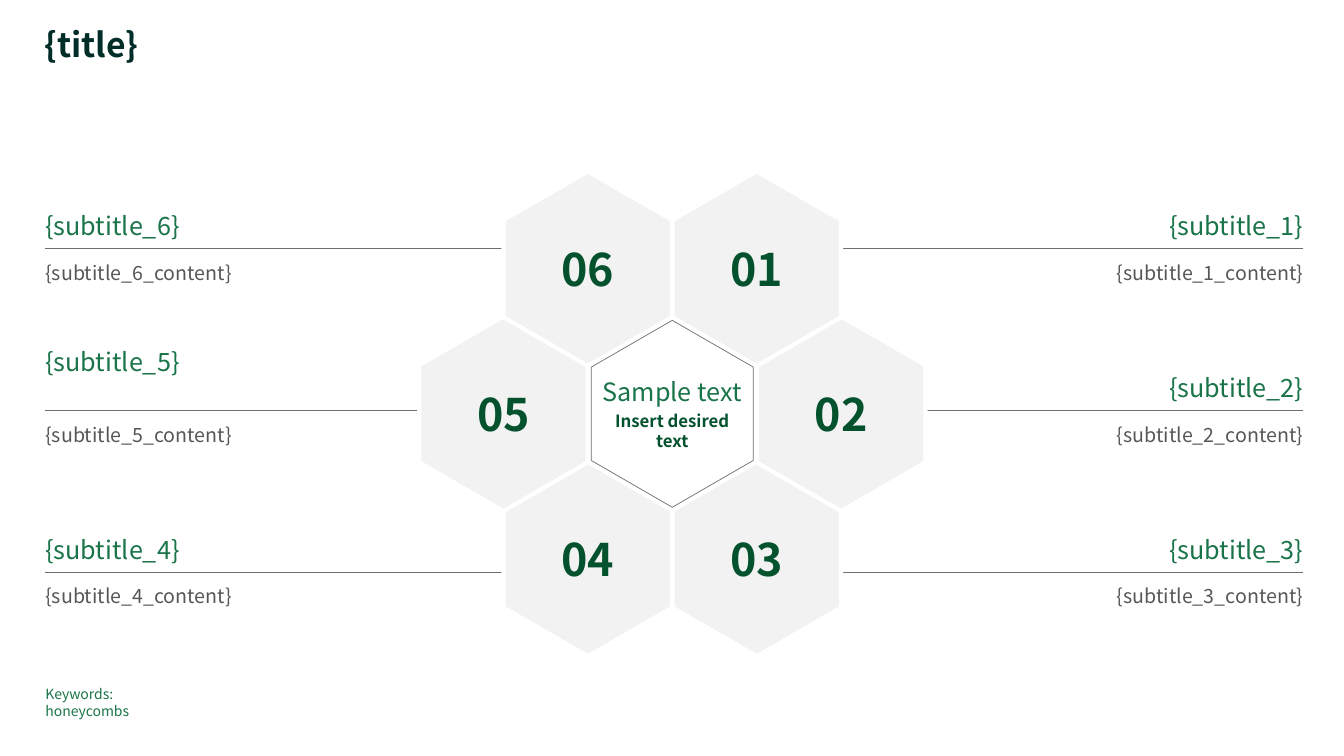
from dataclasses import dataclass
from math import sqrt

from lxml.etree import SubElement
from pptx import Presentation
from pptx.dml.color import RGBColor as Rgb
from pptx.enum.shapes import MSO_CONNECTOR as Connector
from pptx.enum.text import MSO_ANCHOR as Anchor, MSO_AUTO_SIZE as AutoSize, PP_ALIGN as Align
from pptx.oxml.ns import qn
from pptx.util import Pt


@dataclass(frozen=True)
class Theme:
    font: str = "Noto Sans CJK JP"
    title_color: Rgb = Rgb(0x00, 0x2D, 0x28)
    green: Rgb = Rgb(0x1A, 0x74, 0x49)
    dark_green: Rgb = Rgb(0x03, 0x52, 0x2D)
    body: Rgb = Rgb(0x57, 0x57, 0x57)
    rule: Rgb = Rgb(0x6E, 0x6F, 0x73)
    cell: Rgb = Rgb(0xF2, 0xF2, 0xF2)
    white: Rgb = Rgb(0xFF, 0xFF, 0xFF)
    title_size: int = 24
    number_size: int = 32
    subtitle_size: int = 18
    content_size: int = 14
    label_size: int = 12
    keyword_size: int = 10


THEME = Theme()

# Page and honeycomb geometry, in points
LEFT, RIGHT = 32.4, 931
CENTER_X, CENTER_Y = 480.2, 295.6
RADIUS, CORE_RADIUS = 69.5, 66.75
COLUMN_STEP, ROW_STEP = 60.3, 103.7
FIRST_RULE_Y, RULE_STEP = 177.7, 115.5
RULE_INSET = 60
ENTRY_WIDTH, SUBTITLE_HEIGHT, CONTENT_HEIGHT = 247, 27.4, 31

# Cell number: (column, row) in half-cell and row steps from the centre
CELLS = {3: (1, 1), 4: (-1, 1), 2: (2, 0), 5: (-2, 0), 1: (1, -1), 6: (-1, -1)}


def add_run(paragraph, text, size, color, bold=False):
    run = paragraph.add_run()
    run.text = text
    run.font.name = THEME.font
    run.font.size = Pt(size)
    run.font.color.rgb = color
    run.font.bold = bold


def set_frame(frame, anchor=Anchor.TOP, top=0, bottom=0, wrap=True):
    frame.margin_left = frame.margin_right = 0
    frame.margin_top, frame.margin_bottom = Pt(top), Pt(bottom)
    frame.vertical_anchor = anchor
    frame.word_wrap = wrap
    frame.auto_size = AutoSize.SHAPE_TO_FIT_TEXT


def add_text_box(slide, x, y, width, height, align=Align.LEFT, **frame_options):
    frame = slide.shapes.add_textbox(Pt(x), Pt(y), Pt(width), Pt(height)).text_frame
    set_frame(frame, **frame_options)
    frame.paragraphs[0].alignment = align
    return frame


def add_title(slide, text):
    title = slide.shapes.title
    title.left, title.top, title.width, title.height = Pt(31.7), Pt(20.2), Pt(794), Pt(26.6)
    set_frame(title.text_frame)
    paragraph = title.text_frame.paragraphs[0]
    paragraph.alignment = Align.LEFT
    paragraph.line_spacing = 0.9
    add_run(paragraph, text, THEME.title_size, THEME.title_color, bold=True)


def add_rule(slide, start_x, end_x, y):
    rule = slide.shapes.add_connector(Connector.STRAIGHT, Pt(start_x), Pt(y), Pt(end_x), Pt(y))
    rule.line.color.rgb = THEME.rule
    rule.line.width = Pt(0.5)
    SubElement(rule._element.spPr, qn("a:effectLst"))


def add_entry(slide, number, row, on_right, raised=0):
    """Add a rule with its subtitle above and its content below."""
    y = FIRST_RULE_Y + row * RULE_STEP
    x = RIGHT - ENTRY_WIDTH if on_right else LEFT
    align = Align.RIGHT if on_right else Align.LEFT
    if on_right:
        add_rule(slide, RIGHT, CENTER_X + RULE_INSET, y)
    else:
        add_rule(slide, LEFT, CENTER_X - RULE_INSET, y)
    height = SUBTITLE_HEIGHT + raised
    subtitle = add_text_box(slide, x, y - height, ENTRY_WIDTH, height, align,
                            anchor=Anchor.BOTTOM, bottom=5.8 + raised)
    add_run(subtitle.paragraphs[0], f"{{subtitle_{number}}}", THEME.subtitle_size, THEME.green)
    content = add_text_box(slide, x, y, ENTRY_WIDTH, CONTENT_HEIGHT, align, top=8.6, bottom=5.8)
    add_run(content.paragraphs[0], f"{{subtitle_{number}_content}}", THEME.content_size, THEME.body)


def add_hexagon(slide, x, y, radius, line_color, line_width):
    """Add an upright hexagon centred on (x, y)."""
    half = radius * sqrt(3) / 2
    corners = [(half, radius / 2), (half, -radius / 2), (0, -radius),
               (-half, -radius / 2), (-half, radius / 2), (0, radius)]
    points = [(Pt(x + dx), Pt(y + dy)) for dx, dy in corners]
    builder = slide.shapes.build_freeform(*points[0])
    builder.add_line_segments(points[1:], close=True)
    hexagon = builder.convert_to_shape()
    hexagon.shadow.inherit = False
    hexagon.line.color.rgb = line_color
    hexagon.line.width = Pt(line_width)
    return hexagon


def add_cell(slide, number, column, row):
    cell = add_hexagon(slide, CENTER_X + column * COLUMN_STEP, CENTER_Y + row * ROW_STEP,
                       RADIUS, THEME.white, 3)
    cell.fill.solid()
    cell.fill.fore_color.rgb = THEME.cell
    cell.text_frame.vertical_anchor = Anchor.MIDDLE
    paragraph = cell.text_frame.paragraphs[0]
    paragraph.alignment = Align.CENTER
    add_run(paragraph, f"{number:02d}", THEME.number_size, THEME.dark_green, bold=True)


def add_core(slide):
    core = add_hexagon(slide, CENTER_X, CENTER_Y, CORE_RADIUS, THEME.rule, 0.5)
    core.fill.background()
    frame = add_text_box(slide, CENTER_X - 50, CENTER_Y - 27, 100, 54,
                         Align.CENTER, anchor=Anchor.MIDDLE)
    heading = frame.paragraphs[0]
    heading.space_after = Pt(3)
    add_run(heading, "Sample text", THEME.subtitle_size, THEME.green)
    label = frame.add_paragraph()
    label.alignment = Align.CENTER
    label.space_after = Pt(3)
    add_run(label, "Insert desired text", THEME.label_size, THEME.dark_green, bold=True)


def add_keywords(slide):
    paragraph = add_text_box(slide, LEFT, 489.6, 106.6, 12.2, wrap=False).paragraphs[0]
    add_run(paragraph, "Keywords:", THEME.keyword_size, THEME.green)
    paragraph.add_line_break()
    add_run(paragraph, "honeycombs", THEME.keyword_size, THEME.green)


def main():
    deck = Presentation()
    deck.slide_width, deck.slide_height = Pt(960), Pt(540)
    slide = deck.slides.add_slide(deck.slide_layouts[5])
    add_title(slide, "{title}")

    # Entries on both sides
    for row, number in enumerate((1, 2, 3)):
        add_entry(slide, number, row, on_right=True)
    for row, number in enumerate((6, 5, 4)):
        add_entry(slide, number, row, on_right=False, raised=21.4 if number == 5 else 0)

    # Honeycomb
    for number, (column, row) in CELLS.items():
        add_cell(slide, number, column, row)
    add_core(slide)

    add_keywords(slide)
    deck.save("out.pptx")


if __name__ == "__main__":
    main()
